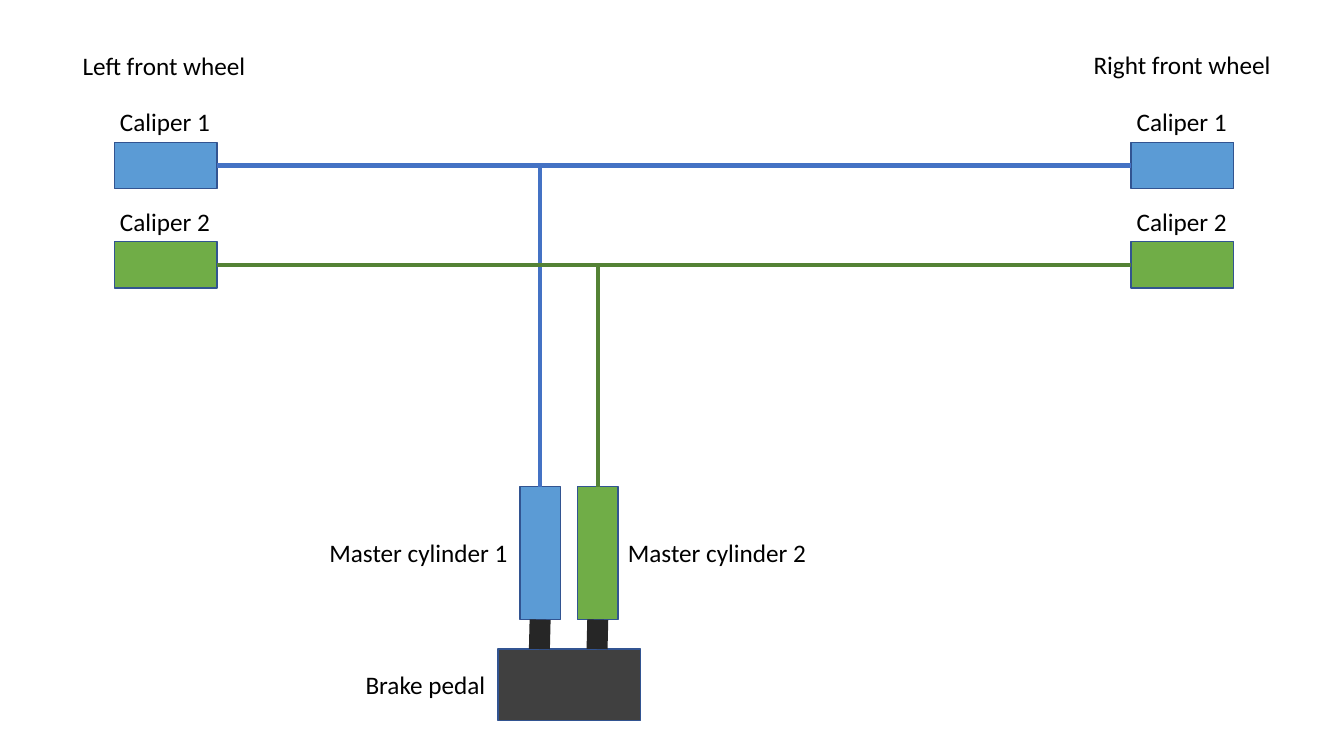
from lxml import etree
from pptx import Presentation
from pptx.dml.color import RGBColor
from pptx.enum.shapes import MSO_CONNECTOR, MSO_SHAPE
from pptx.enum.text import MSO_AUTO_SIZE
from pptx.oxml.ns import qn
from pptx.util import Pt

RECTANGLE = MSO_SHAPE.RECTANGLE
STRAIGHT = MSO_CONNECTOR.STRAIGHT
ELBOW = MSO_CONNECTOR.ELBOW
FIT_SHAPE = MSO_AUTO_SIZE.SHAPE_TO_FIT_TEXT

BLUE = RGBColor(0x5B, 0x9B, 0xD5)
GREEN = RGBColor(0x70, 0xAD, 0x47)
BLUE_LINE = RGBColor(0x44, 0x72, 0xC4)
GREEN_LINE = RGBColor(0x54, 0x82, 0x35)
OUTLINE = RGBColor(0x32, 0x54, 0x91)
PEDAL_GRAY = RGBColor(0x40, 0x40, 0x40)
ROD_GRAY = RGBColor(0x26, 0x26, 0x26)
BLACK = RGBColor(0, 0, 0)

# Connection sites of a rectangle
TOP, LEFT, RIGHT = 0, 1, 3

CALIPER_SIZE = (73.5, 33.2)
CYLINDER_SIZE = (29, 95)
CYLINDER_TOP = 347.6
PEDAL_TOP = 463.6
LABEL_HEIGHT = 29


class Diagram:
    font_name = "Calibri"
    font_size = 18

    def __init__(self, slide):
        self.slide = slide

    def box(self, left, top, width, height, fill):
        shape = self.slide.shapes.add_shape(
            RECTANGLE, Pt(left), Pt(top), Pt(width), Pt(height))
        shape.shadow.inherit = False
        shape.fill.solid()
        shape.fill.fore_color.rgb = fill
        shape.line.color.rgb = OUTLINE
        shape.line.width = Pt(1)
        return shape

    def label(self, text, left, top, width):
        shape = self.slide.shapes.add_textbox(
            Pt(left), Pt(top), Pt(width), Pt(LABEL_HEIGHT))
        frame = shape.text_frame
        frame.word_wrap = False
        frame.auto_size = FIT_SHAPE
        run = frame.paragraphs[0].add_run()
        run.text = text
        run.font.name = self.font_name
        run.font.size = Pt(self.font_size)
        run.font.color.rgb = BLACK

    def line(self, kind, start, end, color, weight):
        connector = self.slide.shapes.add_connector(
            kind, *(Pt(value) for value in (*start, *end)))
        connector.line.color.rgb = color
        connector.line.width = Pt(weight)
        properties = connector._element.spPr
        etree.SubElement(properties, qn("a:effectLst"))
        return connector

    def brake_line(self, caliper, side, cylinder, color):
        """Join a caliper to a cylinder with a single right-angle bend."""
        connector = self.line(ELBOW, (0, 0), (0, 0), color, 3)
        connector.begin_connect(caliper, side)
        connector.end_connect(cylinder, TOP)
        geometry = connector._element.spPr.find(qn("a:prstGeom"))
        geometry.set("prst", "bentConnector2")


def main():
    presentation = Presentation()
    presentation.slide_width = Pt(960)
    presentation.slide_height = Pt(540)
    blank_layout = presentation.slide_layouts[6]
    diagram = Diagram(presentation.slides.add_slide(blank_layout))

    diagram.label("Left front wheel", 52, 32.7, 132.5)
    diagram.label("Right front wheel", 774, 32, 142.5)
    diagram.box(355.6, PEDAL_TOP, 101.8, 51, PEDAL_GRAY)
    diagram.label("Brake pedal", 254, 474.5, 101)

    circuits = [
        (1, BLUE, BLUE_LINE, 371.3, 228.2, 101.6),
        (2, GREEN, GREEN_LINE, 412.5, 441.4, 172.6),
    ]
    for number, fill, color, cylinder_left, label_left, caliper_top in circuits:
        width, height = CYLINDER_SIZE
        cylinder = diagram.box(cylinder_left, CYLINDER_TOP, width, height, fill)
        diagram.label(f"Master cylinder {number}", label_left, 380.2, 143.5)
        center = cylinder_left + width / 2
        diagram.line(STRAIGHT, (center, CYLINDER_TOP + height),
                     (center - 0.5, PEDAL_TOP), ROD_GRAY, 15)

        for caliper_left, side in ((81.6, RIGHT), (807.8, LEFT)):
            caliper = diagram.box(caliper_left, caliper_top, *CALIPER_SIZE, fill)
            diagram.label(f"Caliper {number}", caliper_left - 3,
                          caliper_top - LABEL_HEIGHT, 80)
            diagram.brake_line(caliper, side, cylinder, color)

    presentation.save("out.pptx")


if __name__ == "__main__":
    main()
